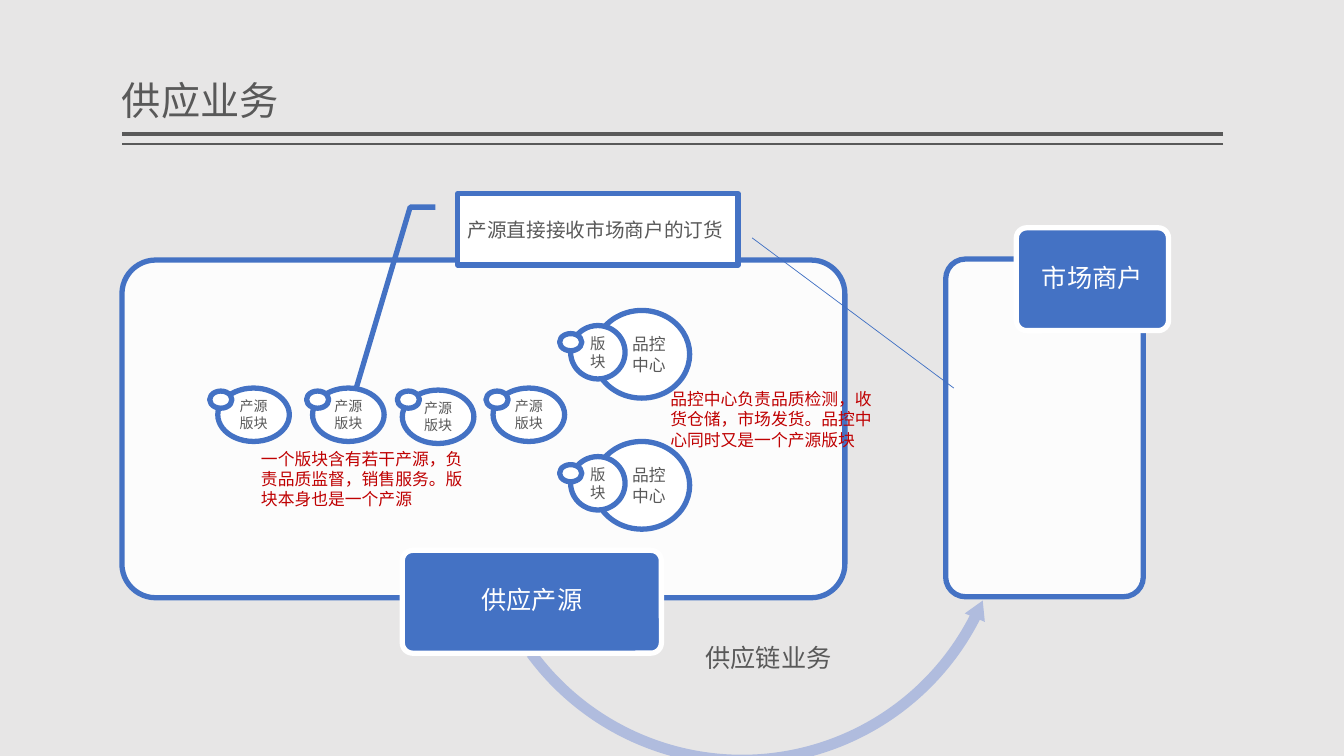
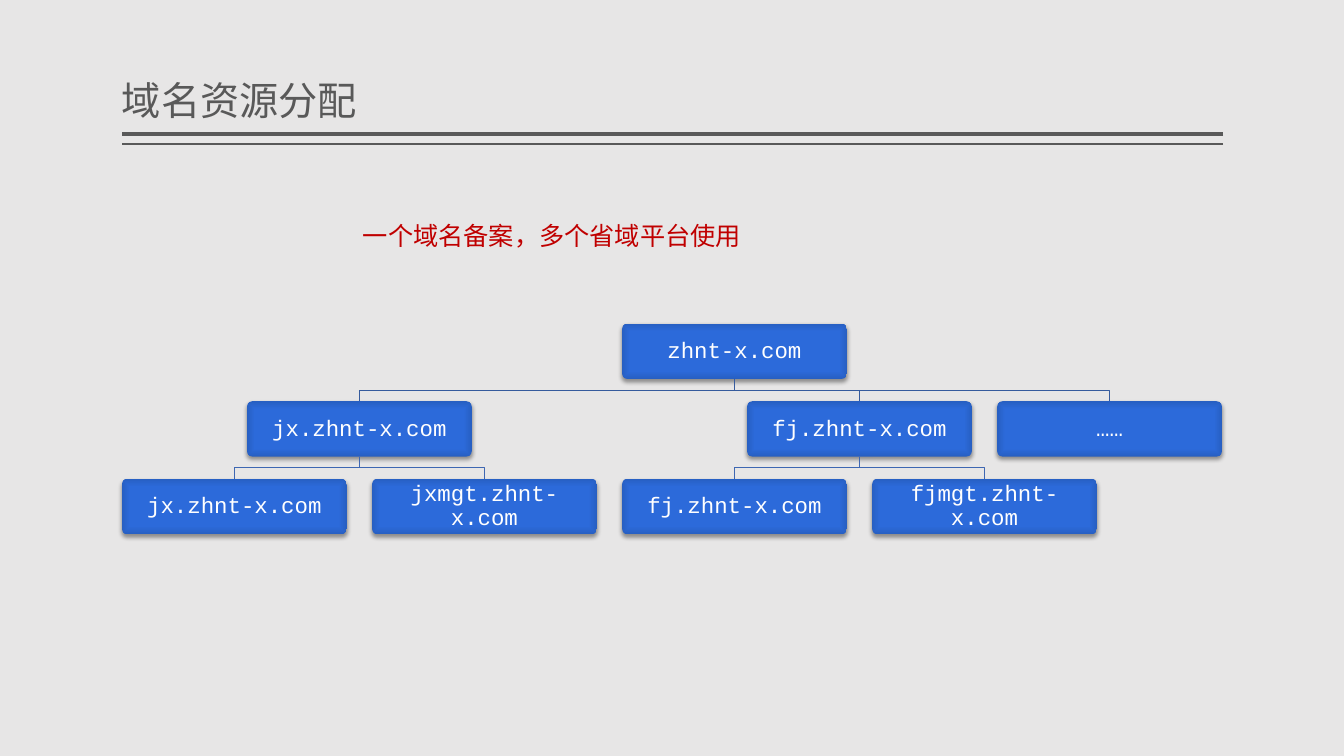
from lxml import etree
from pptx import Presentation
from pptx import util as u
from pptx.dml import color
from pptx.enum import shapes, text
from pptx.oxml import ns, parse_xml

COLORS = {
    "backdrop": "E7E6E6",
    "ink": "595959",
    "white": "FFFFFF",
    "blue": "4472C4",
    "thin_blue": "3F6FC3",
    "arc": "B0BCDE",
    "note": "BF0102",
    "headline": "C00000",
    "black": "000000",
    "node": "2C6BDC",
    "node_mid": "2C6ADA",
    "node_edge": "275FC2",
}
LINK_COLORS = ["365B9D", "3E67B2"]
CJK = "Noto Sans CJK SC"
OUTLINE = 3.78
SHAPE = shapes.MSO_SHAPE
ALIGN = text.PP_ALIGN

LEFT, WIDTH = 1.21, 10.92
COLUMN_STEP, ROW_STEP = 1.24, 0.77
TREE_TOP, NODE_W, NODE_H = 3.21, 2.23, 0.55

TITLE_FRAME = {
    "vertical_anchor": text.MSO_ANCHOR.BOTTOM,
    "auto_size": text.MSO_AUTO_SIZE.NONE,
    "margin_left": 0,
    "margin_right": 0,
    "margin_top": u.Inches(0.05),
    "margin_bottom": u.Inches(0.05),
}
NOTE_FRAME = {"word_wrap": True, "auto_size": text.MSO_AUTO_SIZE.SHAPE_TO_FIT_TEXT}
SINGLE_LINE_FRAME = {**NOTE_FRAME, "word_wrap": False}
SHAPE_FRAME = {"word_wrap": True, "vertical_anchor": text.MSO_ANCHOR.MIDDLE}
LABEL_FRAME = {
    **SHAPE_FRAME,
    "margin_left": u.Inches(0.04),
    "margin_right": u.Inches(0.04),
    "margin_top": u.Inches(0.03),
    "margin_bottom": u.Inches(0.03),
}
NODE_FRAME = {
    **SHAPE_FRAME,
    **{f"margin_{side}": u.Inches(0.07) for side in ("left", "right", "top", "bottom")},
}
CENTERED = {"alignment": ALIGN.CENTER}
TIGHT_CENTERED = {"alignment": ALIGN.CENTER, "line_spacing": 0.9}

SOURCE_BLOCKS = [(2.16, 3.85, 2.08), (3.1, 3.85, 3.04), (3.99, 3.87, 3.94), (4.89, 3.85, 4.82)]
QUALITY_TOPS = [3.08, 4.38]
DOMAINS = (
    "zhnt-x.com", 4, [
        ("jx.zhnt-x.com", 1, [("jx.zhnt-x.com", 0, []), ("jxmgt.zhnt-x.com", 2, [])]),
        ("fj.zhnt-x.com", 5, [("fj.zhnt-x.com", 4, []), ("fjmgt.zhnt-x.com", 6, [])]),
        ("……", 7, []),
    ],
)


def rgb(name):
    return color.RGBColor.from_string(COLORS.get(name, name))


def inches(*values):
    return [u.Inches(value) for value in values]


def apply_format(target, values):
    for name, value in values.items():
        setattr(target, name, value)


def write_text(frame, words, size, ink, face=CJK, frame_format=SHAPE_FRAME, paragraph_format=CENTERED):
    apply_format(frame, frame_format)
    paragraph = frame.paragraphs[0]
    apply_format(paragraph, paragraph_format)
    run = paragraph.add_run()
    run.text = words
    apply_format(run.font, {"size": u.Pt(size), "name": face})
    run.font.color.rgb = rgb(ink)
    east_asian = etree.SubElement(run.font._element, ns.qn("a:ea"))
    east_asian.set("typeface", face)


def add_block(slide, kind, box, fill="white", line="blue", adjustments=()):
    block = slide.shapes.add_shape(kind, *inches(*box))
    block.shadow.inherit = False
    block.fill.solid()
    block.fill.fore_color.rgb = rgb(fill)
    if line:
        block.line.color.rgb = rgb(line)
        block.line.width = u.Pt(OUTLINE)
    else:
        block.line.fill.background()
    for index, value in enumerate(adjustments):
        block.adjustments[index] = value
    return block


def add_panel(slide, box):
    panel = add_block(slide, SHAPE.ROUNDED_RECTANGLE, box, adjustments=[0.1])
    tint = panel._element.spPr.find(ns.qn("a:solidFill"))[0]
    etree.SubElement(tint, ns.qn("a:alpha")).set("val", "90000")


def add_label(slide, box, words):
    label = add_block(slide, SHAPE.ROUNDED_RECTANGLE, box, "blue", "white", [0.1])
    write_text(label.text_frame, words, 18, "white", frame_format=LABEL_FRAME, paragraph_format=TIGHT_CENTERED)


def add_oval(slide, box, words="", size=10, alignment=ALIGN.CENTER):
    oval = add_block(slide, SHAPE.OVAL, box)
    if words:
        write_text(oval.text_frame, words, size, "ink", paragraph_format={"alignment": alignment})


def add_dot(slide, left, top):
    add_oval(slide, (left, top, 0.22, 0.17))


def add_quality_center(slide, top):
    add_oval(slide, (5.89, top, 0.95, 0.87), "品控中心", 12, ALIGN.RIGHT)
    add_oval(slide, (5.66, top + 0.15, 0.54, 0.53), "版块", 11)
    add_dot(slide, 5.55, top + 0.23)


def add_note(slide, box, words, size, ink, face=CJK, frame_format=NOTE_FRAME):
    note = slide.shapes.add_textbox(*inches(*box))
    write_text(note.text_frame, words, size, ink, face, frame_format, {})


def add_line(slide, ends, ink, width):
    line = slide.shapes.add_connector(shapes.MSO_CONNECTOR.STRAIGHT, *inches(*ends))
    line.line.color.rgb = rgb(ink)
    line.line.width = u.Pt(width)
    etree.SubElement(line._element.spPr, ns.qn("a:effectLst"))
    return line


def add_link(slide, parent_column, child_column, level):
    start, end = (LEFT + column * COLUMN_STEP + NODE_W / 2 for column in (parent_column, child_column))
    top = TREE_TOP + level * ROW_STEP + NODE_H
    bottom = TREE_TOP + (level + 1) * ROW_STEP
    middle = (top + bottom) / 2
    outline = slide.shapes.build_freeform(*inches(start, top))
    corners = [(start, middle), (end, middle), (end, bottom)]
    outline.add_line_segments([inches(*corner) for corner in corners], close=False)
    link = outline.convert_to_shape()
    link.shadow.inherit = False
    link.fill.background()
    link.line.color.rgb = rgb(LINK_COLORS[level])
    link.line.width = u.Pt(0.5)


def style_node(node):
    stops = "".join(
        f'<a:gs pos="{position}"><a:srgbClr val="{COLORS[name]}"/></a:gs>'
        for position, name in [(0, "node"), (71000, "node_mid"), (100000, "node_edge")]
    )
    gradient = parse_xml(
        f'<a:gradFill {ns.nsdecls("a")} rotWithShape="1"><a:gsLst>{stops}</a:gsLst>'
        '<a:path path="rect"><a:fillToRect l="50000" t="50000" r="50000" b="50000"/></a:path></a:gradFill>'
    )
    shadow = parse_xml(
        f'<a:outerShdw {ns.nsdecls("a")} blurRad="{u.Pt(3.1)}" dist="{u.Pt(2)}" dir="5400000" rotWithShape="0">'
        f'<a:srgbClr val="{COLORS["black"]}"><a:alpha val="38000"/></a:srgbClr></a:outerShdw>'
    )
    properties = node._element.spPr
    properties.replace(properties.find(ns.qn("a:solidFill")), gradient)
    properties.find(ns.qn("a:effectLst")).append(shadow)


def add_domain(slide, domain, level=0):
    words, column, children = domain
    box = (LEFT + column * COLUMN_STEP, TREE_TOP + level * ROW_STEP, NODE_W, NODE_H)
    node = add_block(slide, SHAPE.ROUNDED_RECTANGLE, box, "node", None, [0.1])
    style_node(node)
    write_text(node.text_frame, words, 16, "white", "Courier New", NODE_FRAME, TIGHT_CENTERED)
    for child in children:
        add_link(slide, column, child[1], level)
        add_domain(slide, child, level + 1)


def add_titled_slide(deck, words):
    slide = deck.slides.add_slide(deck.slide_layouts.get_by_name("Title Only"))
    title = slide.shapes.title
    box = inches(LEFT, 0.08, WIDTH, 1.2)
    apply_format(title, dict(zip(("left", "top", "width", "height"), box)))
    write_text(title.text_frame, words, 28, "ink", "Arial", TITLE_FRAME,
               {"alignment": ALIGN.LEFT, "line_spacing": 0.9})
    return slide


def set_up_master(deck, slide):
    master = deck.slide_master
    master.background.fill.solid()
    master.background.fill.fore_color.rgb = rgb("backdrop")
    for number, (height, width) in enumerate([(1.33, 3), (1.43, 1)], start=101):
        rule = add_line(slide, (LEFT + WIDTH, height, LEFT, height), "ink", width)
        rule._element.nvCxnSpPr.cNvPr.set("id", str(number))
        master.shapes._spTree.append(rule._element)


def draw_supply(slide):
    add_panel(slide, (LEFT, 2.58, 7.17, 3.35))
    add_block(slide, SHAPE.LEFT_CIRCULAR_ARROW, (4.66, 2.25, 5.4, 5.4), "arc", None,
              [0.02, 2.48, 16.22, 86.23, 0.02])
    add_label(slide, (3.99, 5.46, 2.57, 1.02), "供应产源")
    add_panel(slide, (9.38, 2.57, 1.96, 3.35))
    add_label(slide, (10.08, 2.26, 1.51, 1.02), "市场商户")
    add_note(slide, (6.9, 6.32, 1.56, 0.4), "供应链业务", 18, "ink")
    add_note(slide, (6.55, 3.81, 2.31, 0.71),
             "品控中心负责品质检测，收货仓储，市场发货。品控中心同时又是一个产源版块", 12, "note")
    add_note(slide, (2.49, 4.4, 2.22, 0.71),
             "一个版块含有若干产源，负责品质监督，销售服务。版块本身也是一个产源", 12, "note")
    order = add_block(slide, SHAPE.LINE_CALLOUT_2, (4.54, 1.92, 2.78, 0.71),
                      adjustments=[0.19, -0.08, 0.19, -0.17, 2.82, -0.37])
    write_text(order.text_frame, "产源直接接收市场商户的订货", 14, "ink", "Lato",
               paragraph_format={"alignment": ALIGN.LEFT})
    add_line(slide, (7.46, 2.36, 9.46, 3.85), "thin_blue", 0.5)
    for left, top, dot_left in SOURCE_BLOCKS:
        add_oval(slide, (left, top, 0.71, 0.53), "产源版块")
        add_dot(slide, dot_left, 3.88)
    for top in QUALITY_TOPS:
        add_quality_center(slide, top)


def draw_domains(slide):
    add_domain(slide, DOMAINS)
    add_note(slide, (3.5, 2.14, 3.99, 0.4), "一个域名备案，多个省域平台使用", 18, "headline", "Lato",
             SINGLE_LINE_FRAME)


def main():
    deck = Presentation()
    deck.slide_width, deck.slide_height = inches(13.33, 7.5)
    supply = add_titled_slide(deck, "供应业务")
    set_up_master(deck, supply)
    draw_supply(supply)
    draw_domains(add_titled_slide(deck, "域名资源分配"))
    deck.save("out.pptx")


if __name__ == "__main__":
    main()
